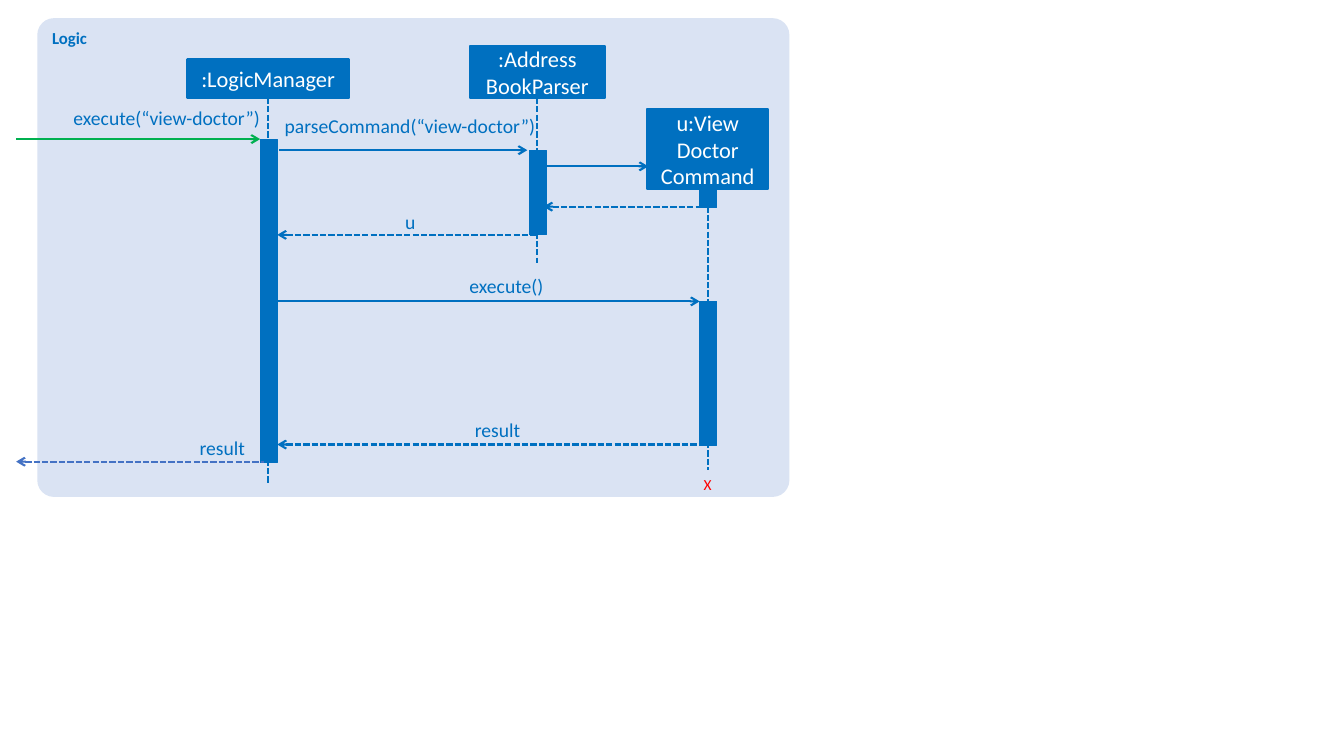
"""Build a sequence diagram of the Logic component."""
from dataclasses import dataclass

from lxml import etree
from pptx import Presentation
from pptx.dml.color import RGBColor
from pptx.enum.dml import MSO_LINE
from pptx.enum.shapes import MSO_CONNECTOR, MSO_SHAPE
from pptx.enum.text import MSO_ANCHOR, MSO_AUTO_SIZE, PP_ALIGN
from pptx.oxml.ns import qn
from pptx.util import Emu, Pt

PX = 9144
RECTANGLE = MSO_SHAPE.RECTANGLE
ROUNDED = MSO_SHAPE.ROUNDED_RECTANGLE
STRAIGHT = MSO_CONNECTOR.STRAIGHT
DASHED = MSO_LINE.SQUARE_DOT
LEFT, CENTER, RIGHT = PP_ALIGN.LEFT, PP_ALIGN.CENTER, PP_ALIGN.RIGHT
TOP, MIDDLE = MSO_ANCHOR.TOP, MSO_ANCHOR.MIDDLE
GROW = MSO_AUTO_SIZE.SHAPE_TO_FIT_TEXT
BOTTOM_SIDE = 2


@dataclass(frozen=True)
class Theme:
    """Hold the colours, font and sizes of the diagram."""

    font: str = "Calibri"
    blue: str = "0070C0"
    pale: str = "DAE3F3"
    green: str = "00B050"
    indigo: str = "4472C4"
    red: str = "FF0000"
    white: str = "FFFFFF"
    frame_size: int = 12
    head_size: int = 16
    label_size: int = 14
    mark_size: int = 11
    line_width: float = 1.5
    bar_line_width: float = 0.5


THEME = Theme()


def px(*lengths):
    """Turn px lengths into EMU."""
    return [Emu(length * PX) for length in lengths]


def color(value):
    """Return an RGB colour from its hex text."""
    return RGBColor.from_string(value)


def write(text_frame, text, size, hex_color, align, bold=False):
    """Fill a text frame and format its runs."""
    text_frame.text = text
    for paragraph in text_frame.paragraphs:
        paragraph.alignment = align
        for run in paragraph.runs:
            run.font.name = THEME.font
            run.font.size = Pt(size)
            run.font.bold = bold
            run.font.color.rgb = color(hex_color)


def add_block(slide, kind, box, fill, line_width=0):
    """Add a flat filled shape, outlined when a width is given."""
    shape = slide.shapes.add_shape(kind, *px(*box))
    shape.shadow.inherit = False
    shape.fill.solid()
    shape.fill.fore_color.rgb = color(fill)
    if line_width:
        shape.line.color.rgb = color(fill)
        shape.line.width = Pt(line_width)
    else:
        shape.line.fill.background()
    return shape


def add_frame(slide, text, box):
    """Add the rounded component frame with its name."""
    shape = add_block(slide, ROUNDED, box, THEME.pale)
    shape.adjustments[0] = 0.035
    shape.text_frame.vertical_anchor = TOP
    write(shape.text_frame, text, THEME.frame_size, THEME.blue, LEFT, True)


def add_participant(slide, text, box, lifeline_end):
    """Add a participant box with the lifeline below it."""
    shape = add_block(slide, RECTANGLE, box, THEME.blue, THEME.line_width)
    shape.text_frame.vertical_anchor = MIDDLE
    write(shape.text_frame, text, THEME.head_size, THEME.white, CENTER)
    left, top, width, height = box
    center = left + width // 2
    lifeline = add_line(slide, (center, top + height), (center, lifeline_end), dashed=True)
    lifeline.begin_connect(shape, BOTTOM_SIDE)


def add_line(slide, start, end, hex_color=THEME.blue, dashed=False, arrow=None):
    """Add a straight line with an optional arrowhead."""
    connector = slide.shapes.add_connector(STRAIGHT, *px(*start, *end))
    connector.line.color.rgb = color(hex_color)
    connector.line.width = Pt(THEME.line_width)
    if dashed:
        connector.line.dash_style = DASHED
    properties = connector._element.spPr
    if arrow:
        etree.SubElement(properties.find(qn("a:ln")), qn(arrow), type="arrow")
    etree.SubElement(properties, qn("a:effectLst"))
    return connector


def add_call(slide, left, right, y, hex_color=THEME.blue):
    """Add a solid message pointing right."""
    add_line(slide, (left, y), (right, y), hex_color, arrow="a:tailEnd")


def add_reply(slide, left, right, y, hex_color=THEME.blue):
    """Add a dashed message pointing left."""
    add_line(slide, (left, y), (right, y), hex_color, True, "a:headEnd")


def add_label(slide, text, box):
    """Add a right-aligned message label without margins."""
    frame = slide.shapes.add_textbox(*px(*box)).text_frame
    frame.word_wrap = True
    frame.auto_size = GROW
    frame.margin_left = frame.margin_right = frame.margin_top = frame.margin_bottom = 0
    write(frame, text, THEME.label_size, THEME.blue, RIGHT)


def add_end_mark(slide, text, box):
    """Add the mark that ends a lifeline."""
    frame = slide.shapes.add_textbox(*px(*box)).text_frame
    frame.word_wrap = False
    frame.auto_size = GROW
    write(frame, text, THEME.mark_size, THEME.red, LEFT)


def main():
    """Draw the diagram and save it."""
    presentation = Presentation()
    presentation.slide_width, presentation.slide_height = px(1333, 750)
    slide = presentation.slides.add_slide(presentation.slide_layouts[6])

    add_frame(slide, "Logic", (37, 18, 746, 475))

    for left, top, height in (
        (258, 138, 321), (525, 149, 84), (694, 176, 30), (694, 299, 143),
    ):
        add_block(slide, RECTANGLE, (left, top, 17, height), THEME.blue, THEME.bar_line_width)

    for text, box, lifeline_end in (
        (":LogicManager", (186, 59, 160, 38), 480),
        (":Address\nBookParser", (466, 46, 134, 51), 261),
        ("u:View\nDoctor\vCommand", (642, 108, 120, 80), 466),
    ):
        add_participant(slide, text, box, lifeline_end)

    add_call(slide, 16, 258, 138, THEME.green)
    for left, right, y in ((277, 523, 149), (542, 643, 165), (275, 694, 299)):
        add_call(slide, left, right, y)

    for left, right, y in ((539, 702, 205), (275, 532, 233), (275, 694, 441)):
        add_reply(slide, left, right, y)
    add_reply(slide, 16, 262, 458, THEME.indigo)

    for text, left, top, width in (
        ("execute(“view-doctor”)", 30, 105, 228),
        ("parseCommand(“view-doctor”)", 243, 113, 288),
        ("u", 388, 208, 24),
        ("execute()", 445, 272, 94),
        ("result", 448, 415, 68),
        ("result", 160, 432, 83),
    ):
        add_label(slide, text, (left, top, width, 24))
    add_end_mark(slide, "X", (688, 466, 28, 29))

    presentation.save("out.pptx")


if __name__ == "__main__":
    main()
